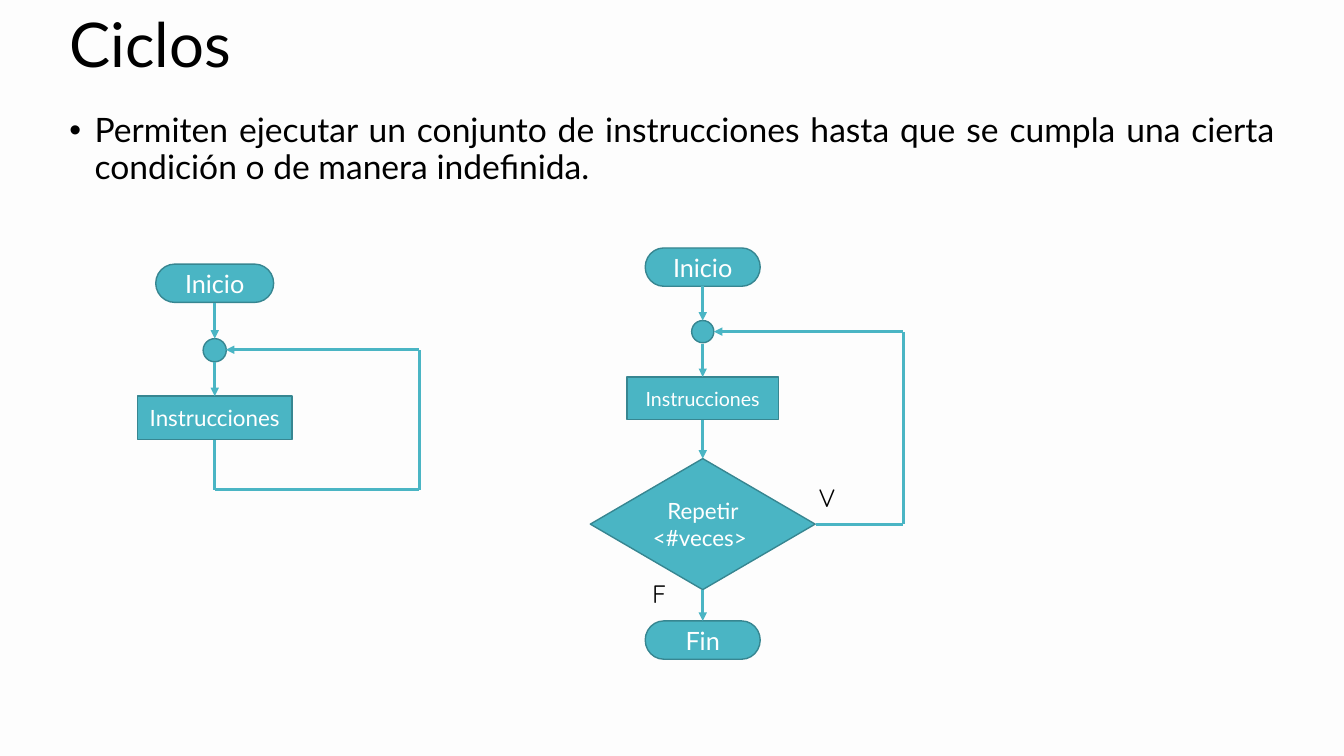
from itertools import pairwise

from lxml import etree
from pptx import Presentation
from pptx.dml.color import RGBColor
from pptx.enum.shapes import MSO_CONNECTOR, MSO_SHAPE
from pptx.enum.text import MSO_ANCHOR, PP_ALIGN
from pptx.oxml.ns import qn
from pptx.util import Inches, Pt

TERMINATOR = MSO_SHAPE.FLOWCHART_TERMINATOR
PROCESS = MSO_SHAPE.FLOWCHART_PROCESS
JUNCTION = MSO_SHAPE.FLOWCHART_CONNECTOR
DECISION = MSO_SHAPE.FLOWCHART_DECISION
STRAIGHT = MSO_CONNECTOR.STRAIGHT
MIDDLE = MSO_ANCHOR.MIDDLE
TOP = MSO_ANCHOR.TOP
LEFT = PP_ALIGN.LEFT
CENTER = PP_ALIGN.CENTER
JUSTIFY = PP_ALIGN.JUSTIFY

BACKGROUND = RGBColor(0xFD, 0xFD, 0xFD)
TEAL = RGBColor(0x4A, 0xB5, 0xC4)
DARK_TEAL = RGBColor(0x37, 0x86, 0x91)
WHITE = RGBColor(0xFF, 0xFF, 0xFF)
BLACK = RGBColor(0, 0, 0)


def write(shape, text, size, font="Lato", color=BLACK, align=LEFT,
          anchor=TOP, spacing=1.0, bullet=False, inset=None):
    frame = shape.text_frame
    frame.word_wrap = True
    frame.vertical_anchor = anchor
    if inset is not None:
        frame.margin_left = frame.margin_right = Inches(inset)
        frame.margin_top = frame.margin_bottom = Inches(inset)
    para = frame.paragraphs[0]
    para.alignment = align
    para.line_spacing = spacing
    if bullet:
        properties = para._p.get_or_add_pPr()
        properties.set("marL", str(Inches(0.25)))
        properties.set("indent", str(-Inches(0.25)))
        etree.SubElement(properties, qn("a:buFont"), typeface="Arial")
        etree.SubElement(properties, qn("a:buChar"), char="•")
    span = para.add_run()
    span.text = text
    span.font.name = font
    span.font.size = Pt(size)
    span.font.color.rgb = color


def add_text(page, left, top, width, height, text, size, **style):
    box = page.shapes.add_textbox(Inches(left), Inches(top),
                                  Inches(width), Inches(height))
    write(box, text, size, **style)


def add_node(page, kind, center, top, width, height, text="", size=18, inset=None):
    """Draw a flowchart symbol centred on the vertical axis at center."""
    node = page.shapes.add_shape(kind, Inches(center - width / 2), Inches(top),
                                 Inches(width), Inches(height))
    node.shadow.inherit = False
    node.fill.solid()
    node.fill.fore_color.rgb = TEAL
    node.line.color.rgb = DARK_TEAL
    node.line.width = Pt(1)
    if text:
        write(node, text, size, color=WHITE, align=CENTER, anchor=MIDDLE, inset=inset)


def add_flow(page, *points):
    """Join the points with straight lines, with an arrowhead at the last one."""
    for start, end in pairwise(points):
        line = page.shapes.add_connector(STRAIGHT, *map(Inches, start + end))
        line.line.color.rgb = TEAL
        line.line.width = Pt(2)
        if end == points[-1]:
            etree.SubElement(line.line._get_or_add_ln(), qn("a:tailEnd"), type="triangle")
        etree.SubElement(line._element.spPr, qn("a:effectLst"))


def add_endless_loop(page):
    axis, right = 2.13, 4.16
    add_node(page, TERMINATOR, axis, 2.62, 1.17, 0.38, "Inicio")
    add_node(page, JUNCTION, axis, 3.36, 0.23, 0.23)
    add_node(page, PROCESS, axis, 3.93, 1.53, 0.43, "Instrucciones", 16)
    add_flow(page, (axis, 3.01), (axis, 3.36))
    add_flow(page, (axis, 3.59), (axis, 3.93))
    add_flow(page, (axis, 4.37), (axis, 4.86), (right, 4.86), (right, 3.47), (2.24, 3.47))


def add_counted_loop(page):
    axis, right = 6.97, 8.96
    add_node(page, TERMINATOR, axis, 2.46, 1.14, 0.38, "Inicio")
    add_node(page, JUNCTION, axis, 3.18, 0.22, 0.22)
    add_node(page, PROCESS, axis, 3.74, 1.5, 0.42, "Instrucciones", 14)
    add_node(page, DECISION, axis, 4.55, 2.23, 1.3, "Repetir <#veces> ", 16, inset=0)
    add_node(page, TERMINATOR, axis, 6.16, 1.14, 0.38, "Fin")
    for top, bottom in [(2.84, 3.18), (3.41, 3.74), (4.17, 4.55), (5.85, 6.16)]:
        add_flow(page, (axis, top), (axis, bottom))
    add_flow(page, (8.09, 5.2), (right, 5.2), (right, 3.29), (7.08, 3.29))
    add_text(page, 6.37, 5.69, 0.49, 0.34, "F", 18, font="Quicksand")
    add_text(page, 8.02, 4.74, 0.49, 0.34, "V", 18, font="Quicksand")


def main():
    deck = Presentation()
    deck.slide_width = Inches(13.33)
    deck.slide_height = Inches(7.5)
    page = deck.slides.add_slide(deck.slide_layouts[6])
    page.background.fill.solid()
    page.background.fill.fore_color.rgb = BACKGROUND

    add_text(page, 0.59, 0.05, 12.15, 0.84, "Ciclos", 44, anchor=MIDDLE, spacing=0.9)
    add_text(page, 0.59, 1.08, 12.15, 5.83,
             "Permiten ejecutar un conjunto de instrucciones hasta que se cumpla "
             "una cierta condición o de manera indefinida.",
             24, align=JUSTIFY, spacing=0.9, bullet=True)
    add_endless_loop(page)
    add_counted_loop(page)
    deck.save("out.pptx")


if __name__ == "__main__":
    main()
